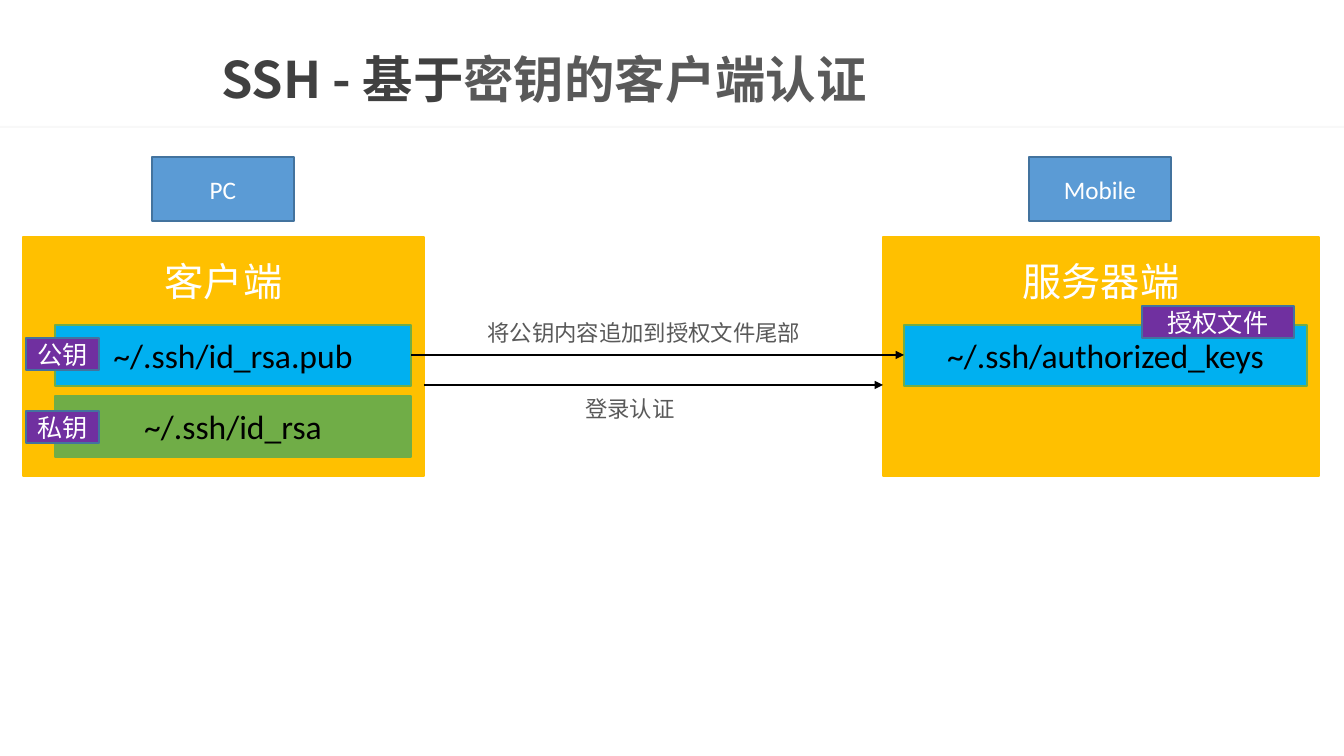
from lxml.etree import SubElement as Sub
from pptx import Presentation
from pptx.dml.color import RGBColor as RGB
from pptx.enum.shapes import MSO_CONNECTOR as Link, MSO_SHAPE as Shape
from pptx.enum.text import MSO_ANCHOR as Anchor, MSO_AUTO_SIZE as Fit, PP_ALIGN as Align
from pptx.oxml.ns import qn
from pptx.util import Emu, Pt

# Content: places are left, top, width, height in px
HEX = {
    "white": "FFFFFF", "black": "000000", "dark": "404040", "gray": "595959",
    "rule": "EAEAEA", "gold": "FFC000", "green": "70AD47", "cyan": "00B0F0",
    "blue": "5B9BD5", "edge": "43739E", "purple": "7030A0",
}
SANS, CJK = "Calibri", "Noto Sans CJK SC"
TITLE = [("SSH - 基于", "dark"), ("密钥的客户端认证", "gray")]

# kind: fill, line, text colour, size
STYLES = {
    "panel": ("gold", "gold", "white", 28),
    "private": ("green", "green", "black", 24),
    "public": ("cyan", "green", "black", 24),
    "device": ("blue", "edge", "white", 18),
    "tag": ("purple", "edge", "white", 18),
}
BOXES = [
    ("panel", "客户端", (23, 237, 401, 239)),
    ("panel", "服务器端", (883, 237, 436, 239)),
    ("private", "~/.ssh/id_rsa", (55, 396, 356, 61)),
    ("public", "~/.ssh/id_rsa.pub", (55, 325, 356, 61)),
    ("public", "~/.ssh/authorized_keys", (904, 325, 403, 61)),
    ("device", "PC", (152, 157, 142, 64)),
    ("device", "Mobile", (1029, 157, 142, 64)),
    ("tag", "公钥", (26, 338, 73, 32)),
    ("tag", "私钥", (26, 411, 73, 32)),
    ("tag", "授权文件", (1142, 306, 152, 32)),
]
# from x, to x, y
ARROWS = [(411, 904, 355), (424, 883, 385)]
LABELS = [
    ("将公钥内容追加到授权文件尾部", (442, 305, 404, 47)),
    ("登录认证", (534, 388, 192, 33)),
]


def px(n):
    return Emu(round(n * 914400 / 100.8))


def color(name):
    return RGB.from_string(HEX[name])


def style(run, size, tint, face, bold=False):
    font = run.font
    font.size, font.bold, font.name = Pt(size), bold, face
    font.color.rgb = color(tint)
    Sub(run._r.get_or_add_rPr(), qn("a:ea"), typeface=CJK)


def write(shape, text, size, tint, face):
    frame = shape.text_frame
    frame.text = text
    frame.word_wrap = True
    frame.vertical_anchor = Anchor.MIDDLE
    para = frame.paragraphs[0]
    para.alignment = Align.CENTER
    style(para.runs[0], size, tint, face)
    return frame


def rect(place, fill):
    shape = shapes.add_shape(Shape.RECTANGLE, *map(px, place))
    shape.shadow.inherit = False
    shape.fill.solid()
    shape.fill.fore_color.rgb = color(fill)
    return shape


deck = Presentation()
deck.slide_width, deck.slide_height = px(1344), px(756)
slide = deck.slides.add_slide(deck.slide_layouts[5])
shapes = slide.shapes

# Title
title = shapes.title
title.left, title.top, title.width, title.height = map(px, (211, 43, 1112, 79))
frame = title.text_frame
frame.auto_size = Fit.NONE
frame.vertical_anchor = Anchor.MIDDLE
para = frame.paragraphs[0]
para.alignment, para.line_spacing = Align.LEFT, 0.9
for text, tint in TITLE:
    run = para.add_run()
    run.text = text
    style(run, 36, tint, CJK, True)

# Faint rule under the title
rule = rect((0, 126, 1344, 2), "rule")
rule.line.fill.background()
Sub(rule.fill._xPr.find(".//" + qn("a:srgbClr")), qn("a:alpha"), val="32000")

# Panels, files, devices and tags
for kind, text, place in BOXES:
    fill, edge, tint, size = STYLES[kind]
    box = rect(place, fill)
    box.line.color.rgb, box.line.width = color(edge), Pt(1)
    frame = write(box, text, size, tint, SANS)
    if kind == "panel":
        frame.vertical_anchor, frame.margin_top = Anchor.TOP, px(20)

# Arrows
for start, end, y in ARROWS:
    arrow = shapes.add_connector(Link.STRAIGHT, px(start), px(y), px(end), px(y))
    arrow.line.color.rgb, arrow.line.width = color("black"), Pt(1.5)
    Sub(arrow.line._get_or_add_ln(), qn("a:tailEnd"), type="triangle")
    Sub(arrow._element.spPr, qn("a:effectLst"))

# Arrow labels
for text, place in LABELS:
    label = shapes.add_textbox(*map(px, place))
    frame = write(label, text, 16, "gray", CJK)
    frame.paragraphs[0].line_spacing = Pt(25)

deck.save("out.pptx")
